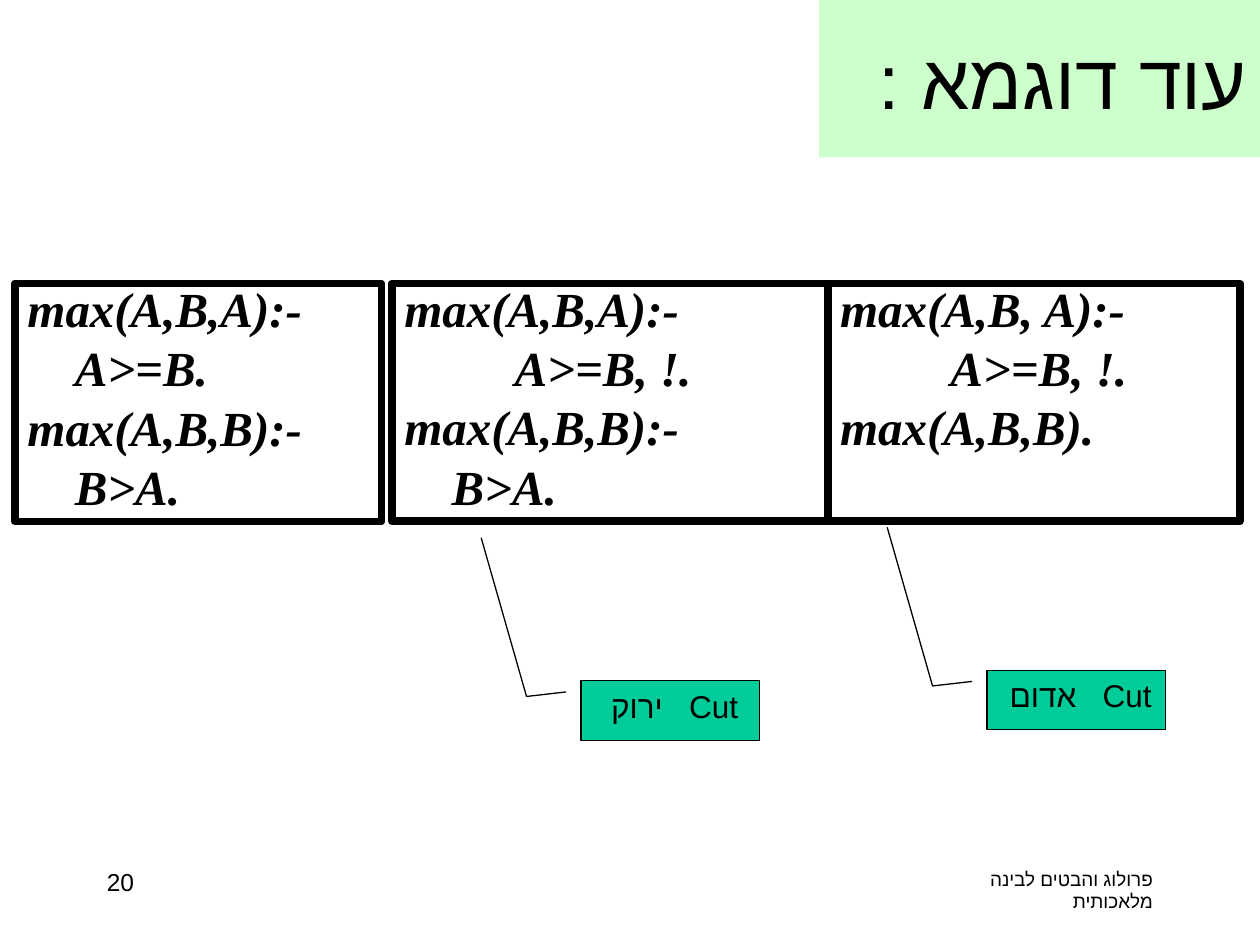
from lxml import etree
from pptx import Presentation
from pptx.dml.color import RGBColor
from pptx.enum.shapes import MSO_SHAPE
from pptx.enum.text import MSO_ANCHOR, MSO_AUTO_SIZE, PP_ALIGN
from pptx.oxml.ns import qn
from pptx.util import Pt

LEFT, CENTER, RIGHT = PP_ALIGN.LEFT, PP_ALIGN.CENTER, PP_ALIGN.RIGHT
TOP, MIDDLE = MSO_ANCHOR.TOP, MSO_ANCHOR.MIDDLE
NO_FIT = MSO_AUTO_SIZE.NONE
RECTANGLE, CALLOUT = MSO_SHAPE.RECTANGLE, MSO_SHAPE.LINE_CALLOUT_2

SERIF, SANS = "Times New Roman", "Arial"
BLACK, PALE_GREEN, TEAL = "000000", "CCFFCC", "00CC99"
CODE_INDENT = 27
TAB_STEP = 72
CALLOUT_POINTS = (0.188, -0.083, 0.265, -0.305, -2.404, -0.559)

CODE_TOP, CODE_HEIGHT = 162, 136
PLAIN_RULES = ["max(A,B,A):-", "\tA>=B.", "max(A,B,B):-", "\tB>A."]
GREEN_CUT_RULES = ["max(A,B,A):-", "\t\tA>=B, !.", "max(A,B,B):-", "\tB>A."]
RED_CUT_RULES = ["max(A,B, A):-", "\t\tA>=B, !.", "max(A,B,B)."]


def color(hex_string):
    return RGBColor.from_string(hex_string)


def place(shape, box):
    shape.left, shape.top, shape.width, shape.height = map(Pt, box)


def set_frame(frame, anchor):
    values = {
        "word_wrap": True, "auto_size": NO_FIT, "vertical_anchor": anchor,
        "margin_left": Pt(7.2), "margin_right": Pt(7.2),
        "margin_top": Pt(3.6), "margin_bottom": Pt(3.6),
    }
    for name, value in values.items():
        setattr(frame, name, value)


def set_outline(shape, fill, line_width):
    if fill:
        shape.fill.solid()
        shape.fill.fore_color.rgb = color(fill)
    else:
        shape.fill.background()
    shape.line.color.rgb = color(BLACK)
    shape.line.width = Pt(line_width)


def add_run(paragraph, text, font_name, size, bold=False, italic=False):
    run = paragraph.add_run()
    run.text = text
    values = {"name": font_name, "size": Pt(size), "bold": bold, "italic": italic}
    for name, value in values.items():
        setattr(run.font, name, value)
    run.font.color.rgb = color(BLACK)
    return run


def write_hebrew(frame, text, font_name, size, alignment, anchor=TOP):
    """Fill a frame with one right-to-left paragraph."""
    set_frame(frame, anchor)
    paragraph = frame.paragraphs[0]
    paragraph.alignment = alignment
    paragraph._p.get_or_add_pPr().set("rtl", "1")
    run = add_run(paragraph, text, font_name, size)
    etree.SubElement(run._r.get_or_add_rPr(), qn("a:cs"), typeface=SANS)


def add_heading(slide, box):
    title = slide.shapes.title
    place(title, box)
    title.fill.solid()
    title.fill.fore_color.rgb = color(PALE_GREEN)
    write_hebrew(title.text_frame, "עוד דוגמא :", SERIF, 44, RIGHT, MIDDLE)


def fill_code_box(shape, box, rules):
    """Frame a Prolog program, with tabs marking the rule bodies."""
    place(shape, box)
    set_outline(shape, None, 4.5)
    frame = shape.text_frame
    set_frame(frame, TOP)
    for index, rule in enumerate(rules):
        paragraph = frame.add_paragraph() if index else frame.paragraphs[0]
        properties = paragraph._p.get_or_add_pPr()
        properties.set("marL", str(Pt(CODE_INDENT)))
        properties.set("indent", str(Pt(-CODE_INDENT)))
        etree.SubElement(properties, qn("a:buNone"))
        tabs = etree.SubElement(properties, qn("a:tabLst"))
        for stop in range(8):
            etree.SubElement(tabs, qn("a:tab"), pos=str(Pt(stop * TAB_STEP)), algn="l")
        paragraph.alignment = LEFT
        paragraph.line_spacing = 0.8
        paragraph.space_before = Pt(7 if index else 0)
        add_run(paragraph, rule, SERIF, 28, bold=True, italic=True)


def add_code_box(slide, box, rules):
    shape = slide.shapes.add_shape(RECTANGLE, *map(Pt, box))
    shape.shadow.inherit = False
    fill_code_box(shape, box, rules)


def add_cut_callout(slide, box, text):
    callout = slide.shapes.add_shape(CALLOUT, *map(Pt, box))
    callout.shadow.inherit = False
    for index, point in enumerate(CALLOUT_POINTS):
        callout.adjustments[index] = point
    set_outline(callout, TEAL, 0.75)
    write_hebrew(callout.text_frame, text, SANS, 18, CENTER)


def add_footer_text(slide, box, text, size, alignment):
    footer = slide.shapes.add_textbox(*map(Pt, box))
    write_hebrew(footer.text_frame, text, SERIF, size, alignment)


def main():
    presentation = Presentation()
    presentation.slide_width, presentation.slide_height = Pt(720), Pt(540)
    slide = presentation.slides.add_slide(presentation.slide_layouts[1])

    add_footer_text(slide, (516, 492, 150, 36), "פרולוג והבטים לבינה מלאכותית", 10.8, RIGHT)
    add_footer_text(slide, (54, 492, 150, 36), "20", 14, LEFT)
    add_heading(slide, (468, 0, 252, 90))

    fill_code_box(slide.placeholders[1], (8.5, CODE_TOP, 209.5, CODE_HEIGHT), PLAIN_RULES)
    add_code_box(slide, (224, CODE_TOP, 249.5, CODE_HEIGHT), GREEN_CUT_RULES)
    add_code_box(slide, (473, CODE_TOP, 235.5, CODE_HEIGHT), RED_CUT_RULES)

    add_cut_callout(slide, (332, 389, 102, 34), "Cut   ירוק ")
    add_cut_callout(slide, (564, 383, 102, 34), "Cut   אדום  ")

    presentation.save("out.pptx")


if __name__ == "__main__":
    main()
